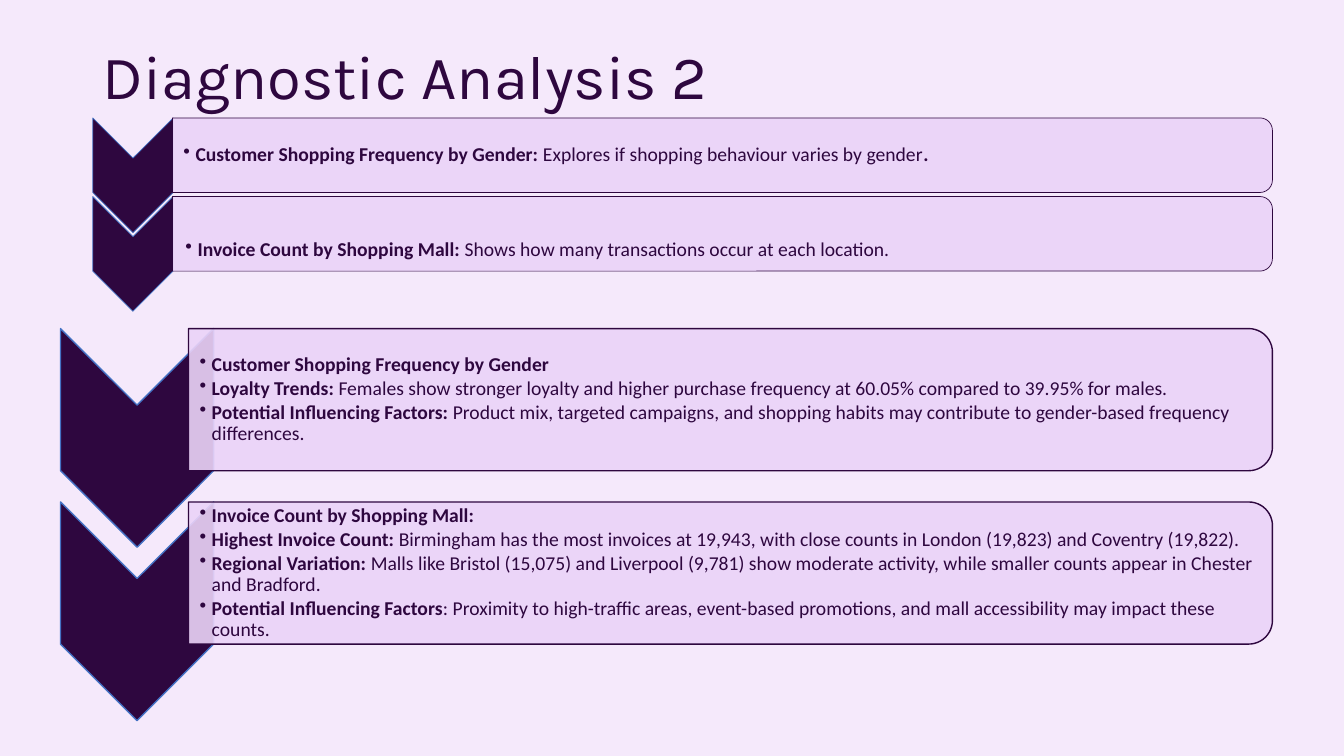
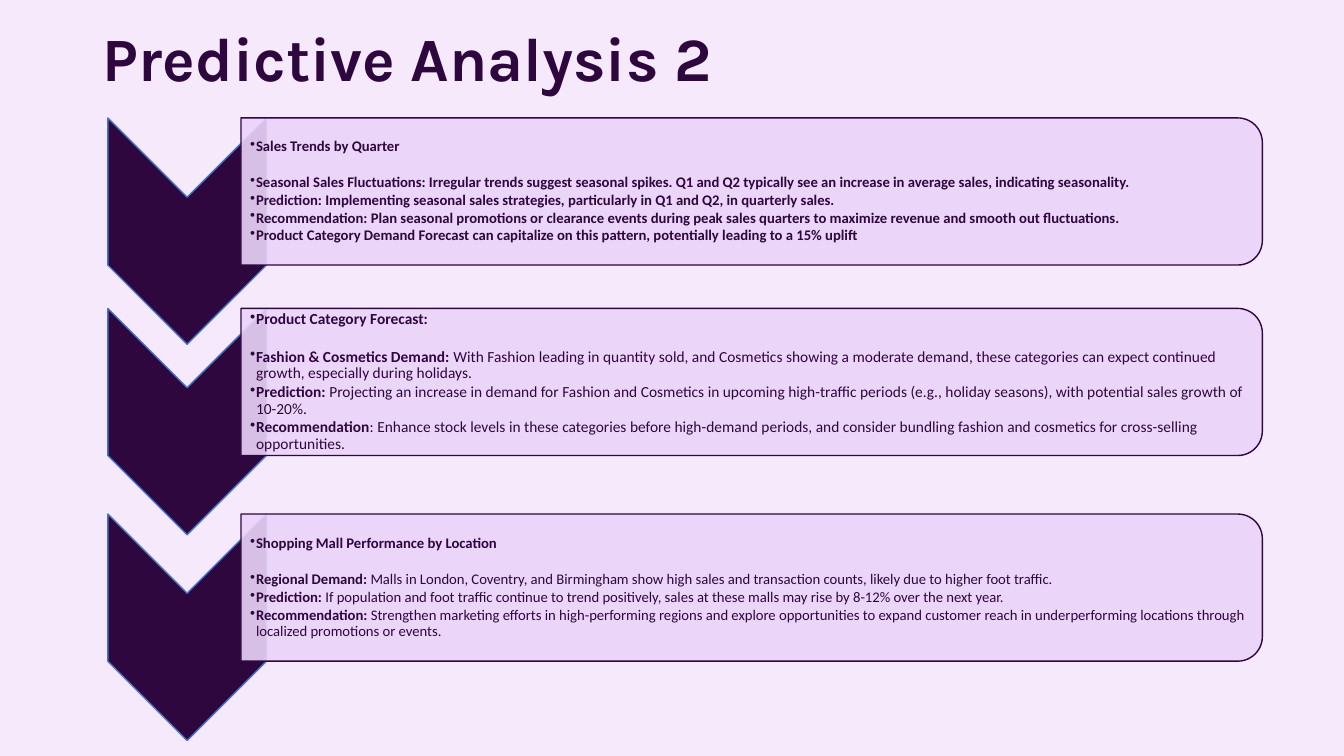
from lxml.etree import SubElement
from pptx import Presentation
from pptx.dml.color import RGBColor
from pptx.enum.shapes import MSO_SHAPE as Shape
from pptx.enum.text import MSO_ANCHOR as Anchor, MSO_AUTO_SIZE as AutoSize, PP_ALIGN as Align
from pptx.oxml.ns import qn
from pptx.util import Inches, Pt

# Shared style
INK, LILAC, PALE, EDGE = "2E073F", "EBD3F8", "F5E9FB", "4472C4"
TITLE_FONT, BODY_FONT = "Karla", "Calibri"

# Content: each item alternates bold and plain runs, starting with bold
FREQUENCY_INTRO = [
    ("Customer Shopping Frequency by Gender: ",
     "Explores if shopping behaviour varies by gender", "."),
]
INVOICE_INTRO = [
    ("Invoice Count by Shopping Mall: ",
     "Shows how many transactions occur at each location."),
]
FREQUENCY = [
    ("Customer Shopping Frequency by Gender",),
    ("Loyalty Trends: ",
     "Females show stronger loyalty and higher purchase frequency at 60.05% "
     "compared to 39.95% for males."),
    ("Potential Influencing Factors: ",
     "Product mix, targeted campaigns, and shopping habits may contribute to "
     "gender-based frequency differences."),
]
INVOICES = [
    ("Invoice Count by Shopping Mall:",),
    ("Highest Invoice Count: ",
     "Birmingham has the most invoices at 19,943, with close counts in London "
     "(19,823) and Coventry (19,822)."),
    ("Regional Variation: ",
     "Malls like Bristol (15,075) and Liverpool (9,781) show moderate activity, "
     "while smaller counts appear in Chester and Bradford."),
    ("Potential Influencing Factors",
     ": Proximity to high-traffic areas, event-based promotions, and mall "
     "accessibility may impact these counts."),
]
QUARTERS = [
    ("Sales Trends by Quarter",),
    ("Seasonal Sales Fluctuations: Irregular trends suggest seasonal spikes. Q1 and Q2 "
     "typically see an increase in average sales, indicating seasonality.",),
    ("Prediction: Implementing seasonal sales strategies, particularly in Q1 and Q2, "
     "in quarterly sales.",),
    ("Recommendation: Plan seasonal promotions or clearance events during peak sales "
     "quarters to maximize revenue and smooth out fluctuations.",),
    ("Product Category Demand Forecast can capitalize on this pattern, potentially "
     "leading to a 15% uplift",),
]
CATEGORIES = [
    ("Product Category Forecast:",),
    ("Fashion & Cosmetics Demand: ",
     "With Fashion leading in quantity sold, and Cosmetics showing a moderate demand, "
     "these categories can expect continued growth, especially during holidays."),
    ("Prediction: ",
     "Projecting an increase in demand for Fashion and Cosmetics in upcoming high-traffic "
     "periods (e.g., holiday seasons), with potential sales growth of 10-20%."),
    ("Recommendation",
     ": Enhance stock levels in these categories before high-demand periods, and consider "
     "bundling fashion and cosmetics for cross-selling opportunities."),
]
MALLS = [
    ("Shopping Mall Performance by Location",),
    ("Regional Demand: ",
     "Malls in London, Coventry, and Birmingham show high sales and transaction counts, "
     "likely due to higher foot traffic."),
    ("Prediction: ",
     "If population and foot traffic continue to trend positively, sales at these malls "
     "may rise by 8-12% over the next year."),
    ("Recommendation: ",
     "Strengthen marketing efforts in high-performing regions and explore opportunities to "
     "expand customer reach in underperforming locations through localized promotions or events."),
]

# Band families: chevron left, panel left, width and height, line width, text margin and indent
SLIM = dict(chevron_left=0.92, left=1.71, width=10.91, height=0.74,
            line=0.5, margin=0.11, indent=0.12)
WIDE = dict(chevron_left=0.6, left=1.87, width=10.75, height=1.41,
            line=1, margin=0.11, indent=0.12)
FORECAST = dict(chevron_left=1.07, left=2.39, width=10.13, height=1.46,
                line=1, margin=0.09, indent=0.06)

# Each band: family, top, items, text format
SLIDES = [
    dict(title="Diagnostic Analysis 2", bold=False, top=0.4, height=0.77, bands=[
        (SLIM, 1.17, FREQUENCY_INTRO, dict(size=14)),
        (SLIM, 1.95, INVOICE_INTRO, dict(size=14, margin=0.13, drop=0.32)),
        (WIDE, 3.26, FREQUENCY, dict(size=14)),
        (WIDE, 4.98, INVOICES, dict(size=14)),
    ]),
    dict(title="Predictive Analysis 2", bold=True, top=0.21, height=0.81, bands=[
        (FORECAST, 1.17, QUARTERS, dict(size=10.5, heading=True)),
        (FORECAST, 3.06, CATEGORIES, dict(size=11, heading=True)),
        (FORECAST, 5.1, MALLS, dict(size=10.5, heading=True)),
    ]),
]


def rgb(color):
    return RGBColor.from_string(color)


def add_text(paragraph, text, *, size, font=BODY_FONT, bold=False, color=INK):
    run = paragraph.add_run()
    run.text = text
    run.font.size, run.font.name, run.font.bold = Pt(size), font, bold
    run.font.color.rgb = rgb(color)


def add_turned(slide, kind, left, top, width, height, *, fill, line, weight, alpha=100):
    """Place a shape turned by 90 degrees so that it covers the given area."""
    shift = (width - height) / 2
    shape = slide.shapes.add_shape(kind, Inches(left + shift), Inches(top - shift),
                                   Inches(height), Inches(width))
    shape.rotation = 90
    shape.shadow.inherit = False
    shape.fill.solid()
    shape.fill.fore_color.rgb = rgb(fill)
    if alpha < 100:
        tint = shape.fill._xPr.find(qn("a:solidFill"))[0]
        SubElement(tint, qn("a:alpha"), val=str(alpha * 1000))
    shape.line.color.rgb = rgb(line)
    shape.line.width = Pt(weight)


def add_bullets(slide, items, left, top, width, height, *, size, margin, indent,
                heading=False, drop=0):
    box = slide.shapes.add_textbox(Inches(left), Inches(top + height * 0.05),
                                   Inches(width - 0.07), Inches(height * 0.9))
    frame = box.text_frame
    frame.word_wrap = True
    frame.vertical_anchor = Anchor.MIDDLE
    frame.margin_left, frame.margin_top = Inches(margin), Inches(0.01 + drop)
    frame.margin_right = frame.margin_bottom = Inches(0.01)
    for index, runs in enumerate(items):
        item = frame.add_paragraph() if index else frame.paragraphs[0]
        item.line_spacing = 0.9
        gap = 1.36 if heading and index == 0 else 0.135
        item.space_after = Pt(size * gap)
        props = item._p.get_or_add_pPr()
        props.set("marL", str(Inches(indent)))
        props.set("indent", str(-Inches(indent)))
        SubElement(props, qn("a:buChar"), char="•")
        for position, text in enumerate(runs):
            add_text(item, text, size=size, bold=position % 2 == 0)


def add_band(slide, family, top, items, style):
    # The chevron is 0.7 as wide as tall; its tip hangs below the panel
    area = family["left"], top, family["width"], family["height"]
    chevron_height = family["height"] / 0.65
    add_turned(slide, Shape.CHEVRON, family["chevron_left"], top, chevron_height * 0.7,
               chevron_height, fill=INK, line=EDGE, weight=family["line"])
    add_turned(slide, Shape.ROUND_2_SAME_RECTANGLE, *area,
               fill=LILAC, line=INK, weight=family["line"], alpha=90)
    layout = dict(margin=family["margin"], indent=family["indent"])
    add_bullets(slide, items, *area, **{**layout, **style})


def add_title(slide, content):
    title = slide.shapes.title
    title.left, title.top = Inches(0.92), Inches(content["top"])
    title.width, title.height = Inches(11.5), Inches(content["height"])
    frame = title.text_frame
    frame.auto_size = AutoSize.NONE
    frame.vertical_anchor = Anchor.MIDDLE
    heading = frame.paragraphs[0]
    heading.alignment = Align.LEFT
    heading.line_spacing = 0.9
    add_text(heading, content["title"], size=44, font=TITLE_FONT, bold=content["bold"])


def main():
    deck = Presentation()
    deck.slide_width, deck.slide_height = Inches(13.33), Inches(7.5)
    backdrop = deck.slide_master.background.fill
    backdrop.solid()
    backdrop.fore_color.rgb = rgb(PALE)
    for content in SLIDES:
        slide = deck.slides.add_slide(deck.slide_layouts[5])
        add_title(slide, content)
        for band in content["bands"]:
            add_band(slide, *band)
    deck.save("out.pptx")


if __name__ == "__main__":
    main()
